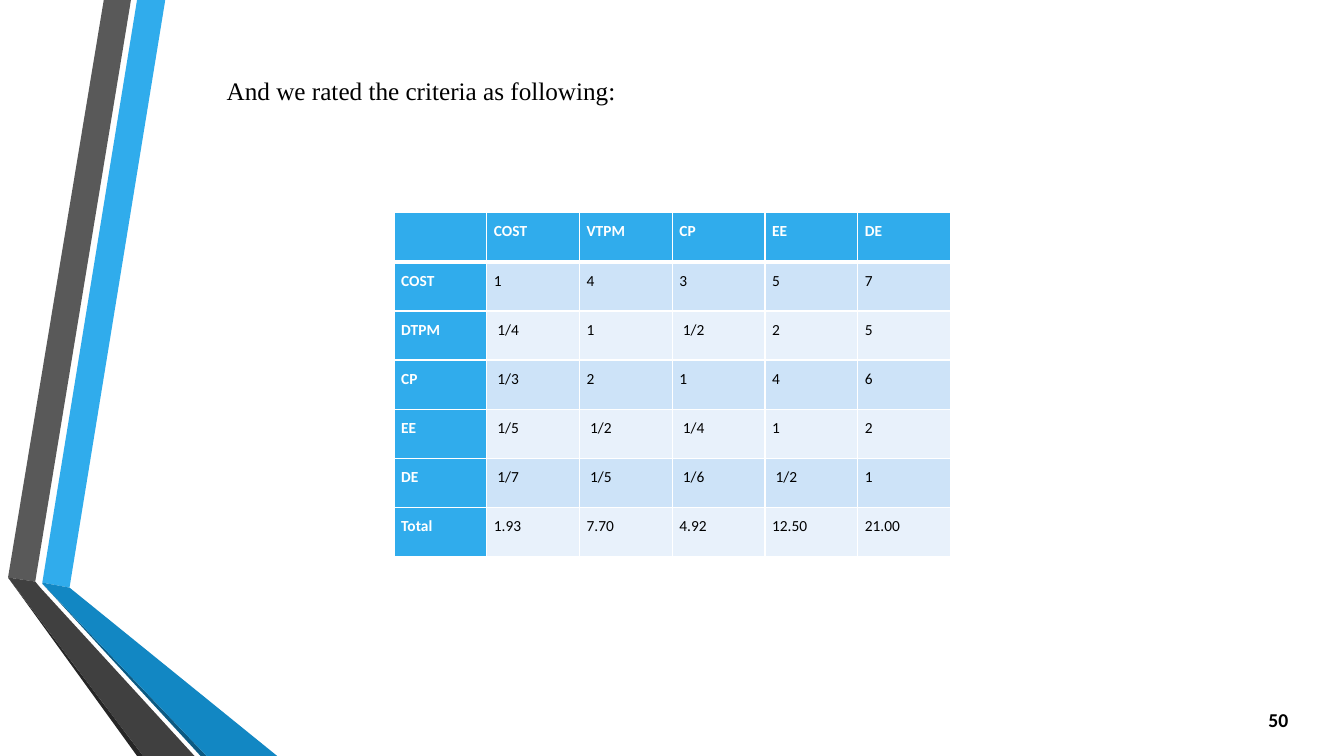
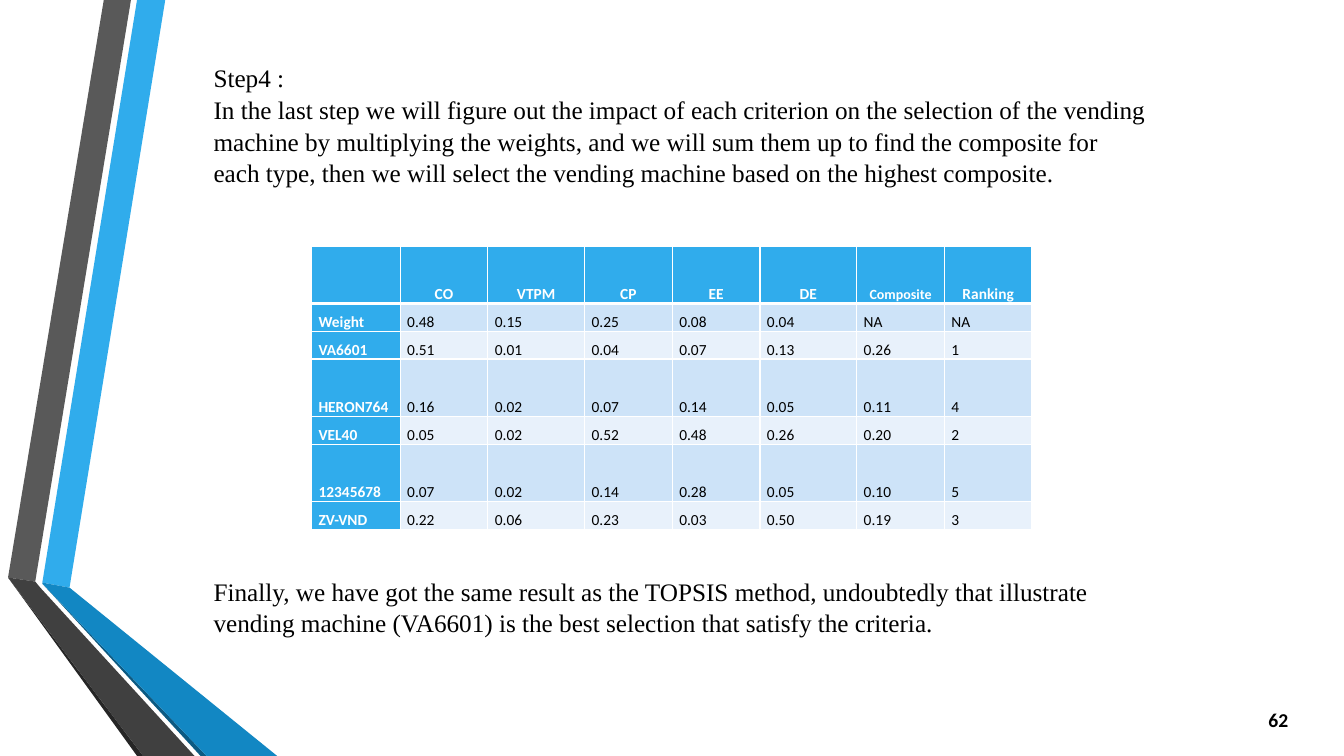
from lxml.etree import SubElement
from pptx import Presentation
from pptx.dml.color import RGBColor
from pptx.enum.text import MSO_ANCHOR, PP_ALIGN
from pptx.oxml.ns import qn
from pptx.util import Inches, Pt

hues = {
    "white": "FFFFFF", "black": "000000", "blue": "30ACEC", "deep": "1287C3",
    "navy": "0C5A82", "grey": "595959", "dark": "404040", "coal": "262626",
    "odd": "CDE3F8", "even": "E8F1FB",
}

deck = Presentation()
deck.slide_width = Inches(13.33)
deck.slide_height = Inches(7.5)
col = deck.slide_width / 40
row = deck.slide_height / 30

bands = [
    ("blue", [(1.26, 23.12), (2.07, 23.32), (4.92, 0), (4.08, 0)]),
    ("grey", [(3.9, 0), (3.09, 0), (0.24, 22.92), (1.05, 23.08)]),
    ("coal", [(0.24, 22.92), (4.08, 30), (4.26, 30)]),
    ("navy", [(1.26, 23.16), (5.97, 30), (6.15, 30)]),
    ("deep", [(1.26, 23.16), (6.15, 30), (8.25, 30), (2.07, 23.32), (1.26, 23.12)]),
    ("dark", [(5.79, 30), (1.2, 23.32), (1.05, 23.08), (0.24, 22.92), (4.26, 30)]),
]

pages = [
    {
        "num": "50",
        "texts": [
            ((6.45, 2.72, 20, 1.6), [("And we rated the criteria as following:", 1.05)]),
        ],
        "spot": (11.73, 8.44),
        "cols": [2.76] * 6,
        "rows": [1.95] * 7,
        "anchor": MSO_ANCHOR.TOP,
        "head": PP_ALIGN.LEFT,
        "cells": [
            ["", "COST", "VTPM", "CP", "EE", "DE"],
            ["COST", "1", "4", "3", "5", "7"],
            ["DTPM", " 1/4", "1", " 1/2", "2", "5"],
            ["CP", " 1/3", "2", "1", "4", "6"],
            ["EE", " 1/5", " 1/2", " 1/4", "1", "2"],
            ["DE", " 1/7", " 1/5", " 1/6", " 1/2", "1"],
            ["Total", "1.93", "7.70", "4.92", "12.50", "21.00"],
        ],
    },
    {
        "num": "62",
        "texts": [
            ((6.06, 1.68, 28.35, 7.08), [
                ("Step4 :", 1.5),
                ("In the last step we will figure out the impact of each criterion on the "
                 "selection of the vending machine by multiplying the weights, and we will "
                 "sum them up to find the composite for each type, then we will select the "
                 "vending machine based on the highest composite.", 1.05),
            ]),
            ((6.06, 22.6, 27.48, 2.84), [
                ("Finally, we have got the same result as the TOPSIS method, undoubtedly "
                 "that illustrate vending machine (VA6601) is the best selection that "
                 "satisfy the criteria.", 1.05),
            ]),
        ],
        "spot": (9.27, 9.76),
        "cols": [2.64, 2.61, 2.88, 2.61, 2.61, 2.88, 2.61, 2.61],
        "rows": [2.28, 1.08, 1.08, 2.28, 1.08, 2.28, 1.08],
        "anchor": MSO_ANCHOR.BOTTOM,
        "head": PP_ALIGN.CENTER,
        "cells": [
            ["", "CO", "VTPM", "CP", "EE", "DE", "Composite", "Ranking"],
            ["Weight", "0.48", "0.15", "0.25", "0.08", "0.04", "NA", "NA"],
            ["VA6601", "0.51", "0.01", "0.04", "0.07", "0.13", "0.26", "1"],
            ["HERON764", "0.16", "0.02", "0.07", "0.14", "0.05", "0.11", "4"],
            ["VEL40", "0.05", "0.02", "0.52", "0.48", "0.26", "0.20", "2"],
            ["12345678", "0.07", "0.02", "0.14", "0.28", "0.05", "0.10", "5"],
            ["ZV-VND", "0.22", "0.06", "0.23", "0.03", "0.50", "0.19", "3"],
        ],
    },
]


def write(para, text, size, font, hue="black", bold=False):
    run = para.add_run()
    run.text = text
    run.font.size = Pt(size)
    run.font.name = font
    run.font.bold = bold
    run.font.color.rgb = RGBColor.from_string(hues[hue])


def add_box(slide, x, y, wide, high):
    frame = slide.shapes.add_textbox(
        round(x * col), round(y * row), round(wide * col), round(high * row)).text_frame
    frame.word_wrap = True
    return frame


for page in pages:
    slide = deck.slides.add_slide(deck.slide_layouts[6])

    for hue, dots in bands:
        spots = [(round(x * col), round(y * row)) for x, y in dots]
        pen = slide.shapes.build_freeform(*spots[0], scale=1.0)
        pen.add_line_segments(spots[1:], close=True)
        band = pen.convert_to_shape()
        band.shadow.inherit = False
        band.fill.solid()
        band.fill.fore_color.rgb = RGBColor.from_string(hues[hue])
        band.line.fill.background()

    frame = add_box(slide, 36.84, 27.76, 1.8, 1.6)
    frame.vertical_anchor = MSO_ANCHOR.MIDDLE
    para = frame.paragraphs[0]
    para.alignment = PP_ALIGN.RIGHT
    write(para, page["num"], 14, "Calibri", bold=True)

    for area, lines in page["texts"]:
        frame = add_box(slide, *area)
        for i, (text, gap) in enumerate(lines):
            para = frame.add_paragraph() if i else frame.paragraphs[0]
            para.line_spacing = gap
            write(para, text, 18, "Times New Roman")

    x, y = page["spot"]
    table = slide.shapes.add_table(
        len(page["rows"]), len(page["cols"]), round(x * col), round(y * row),
        round(sum(page["cols"]) * col), round(sum(page["rows"]) * row)).table
    for c, wide in enumerate(page["cols"]):
        table.columns[c].width = round(wide * col)
    for r, high in enumerate(page["rows"]):
        table.rows[r].height = round(high * row)
        for c, text in enumerate(page["cells"][r]):
            cell = table.cell(r, c)
            cell.margin_left = cell.margin_right = Inches(0.07)
            cell.margin_top = cell.margin_bottom = 0
            cell.vertical_anchor = page["anchor"]
            props = cell._tc.get_or_add_tcPr()
            for side in "LRTB":
                thick = 3 if (r, side) in [(0, "B"), (1, "T")] else 1
                edge = SubElement(props, qn("a:ln" + side), w=str(Pt(thick)))
                paint = SubElement(edge, qn("a:solidFill"))
                SubElement(paint, qn("a:srgbClr"), val=hues["white"])
            title = r == 0 or c == 0
            hue = "blue" if title else "odd" if r % 2 else "even"
            cell.fill.solid()
            cell.fill.fore_color.rgb = RGBColor.from_string(hues[hue])
            if text:
                para = cell.text_frame.paragraphs[0]
                para.line_spacing = 1.5
                para.alignment = PP_ALIGN.LEFT if r else page["head"]
                size = 10 if text == "Composite" else 11
                write(para, text, size, "Calibri", "white" if title else "black", title)

deck.save("out.pptx")
